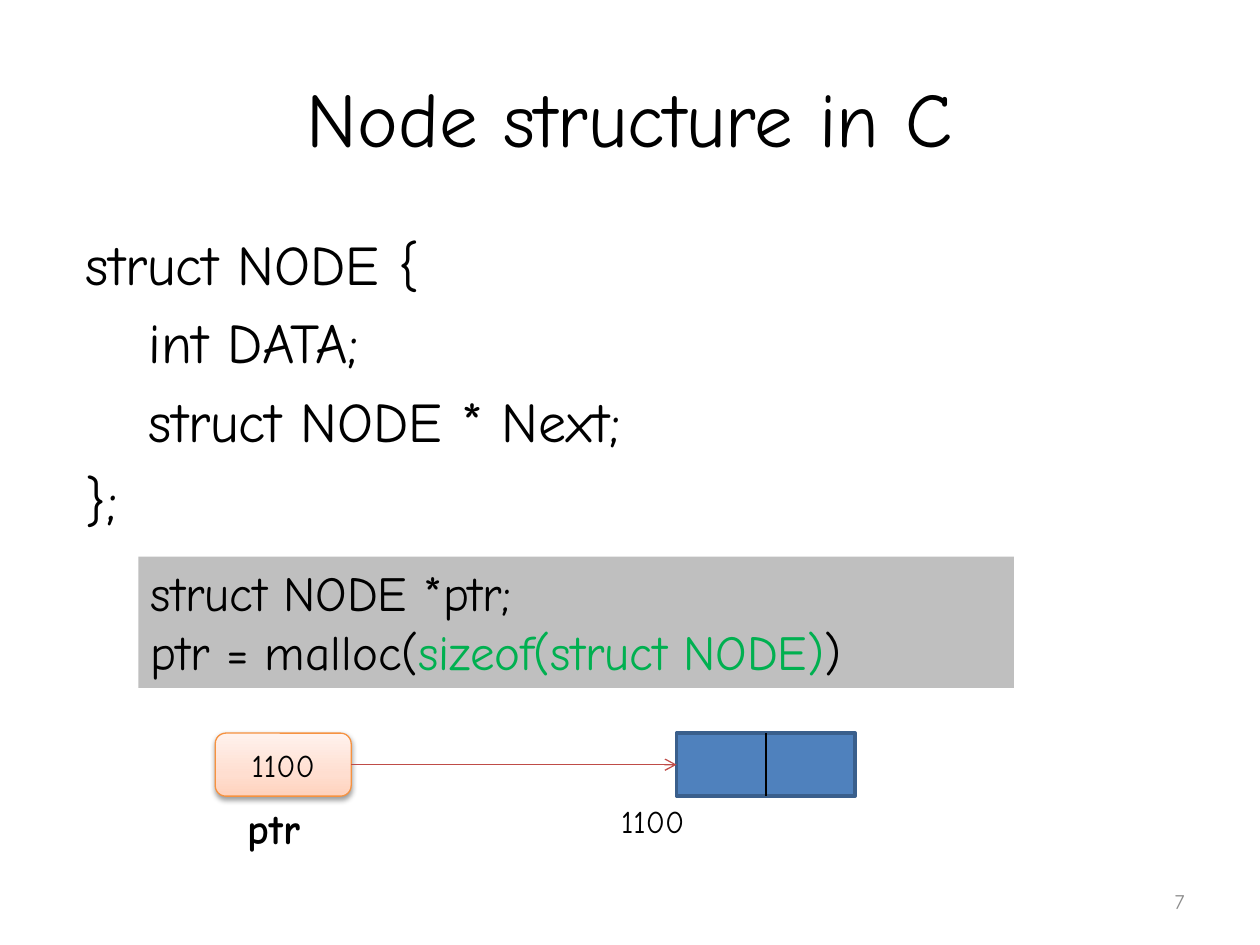
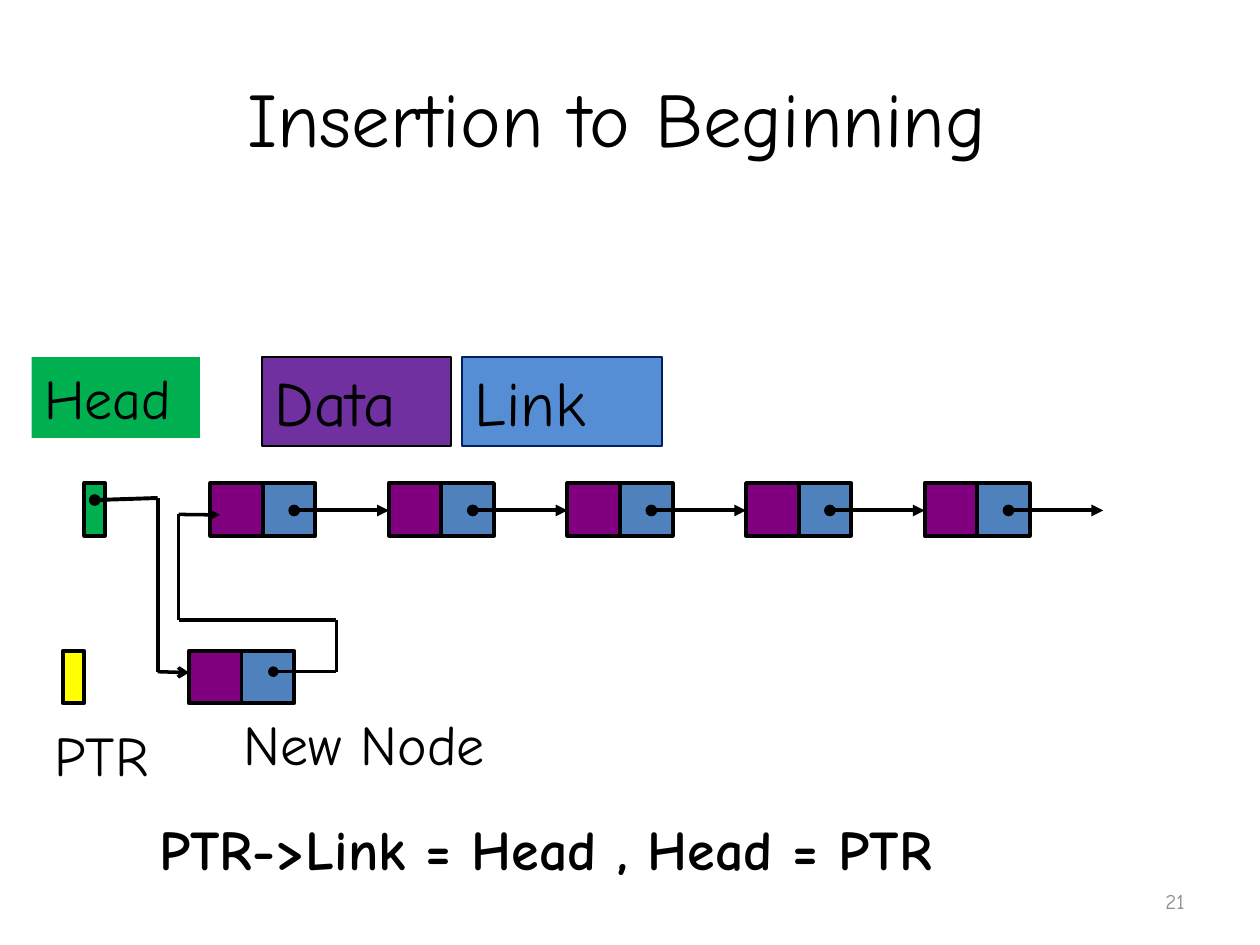
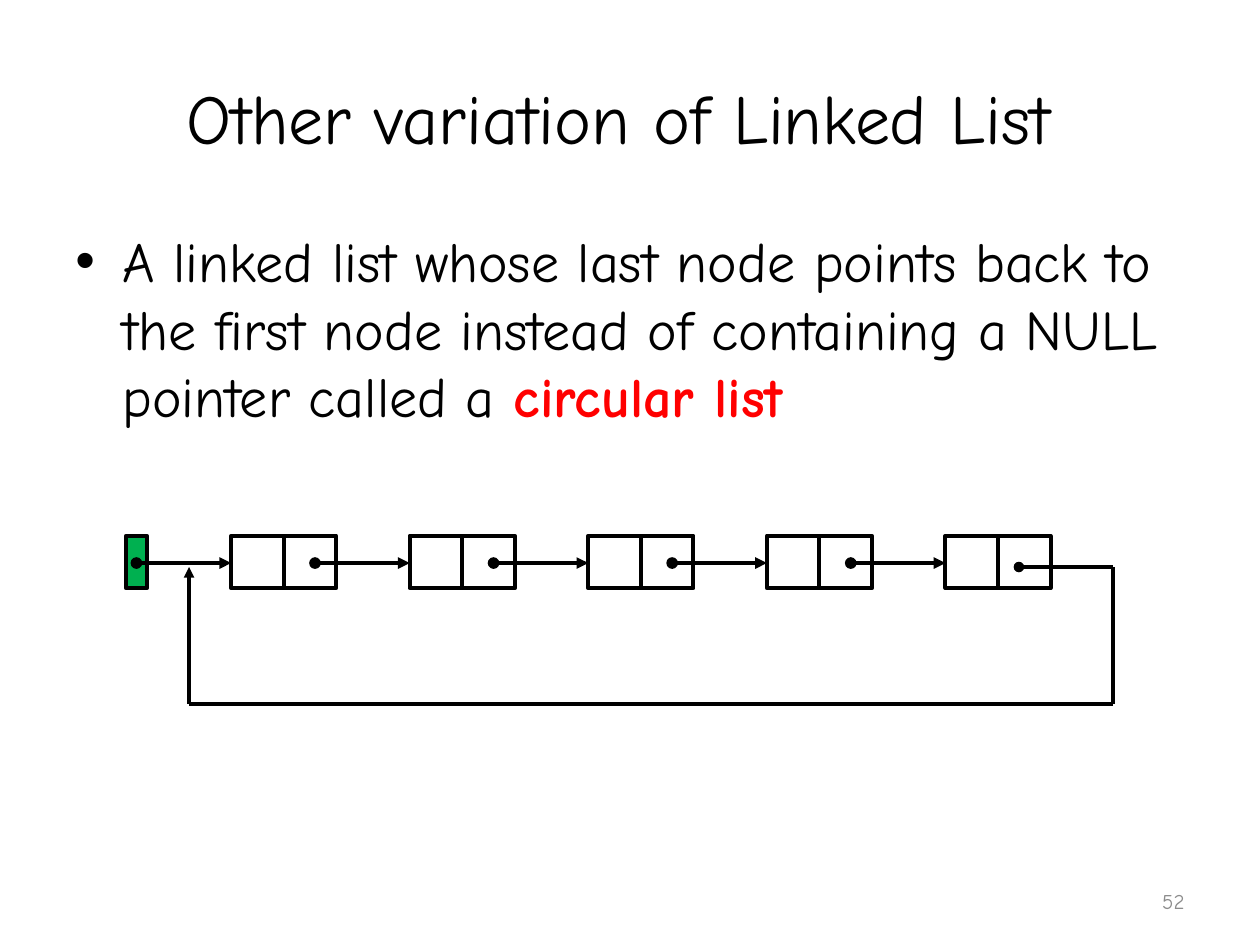
from pptx import Presentation
from pptx.dml.color import RGBColor
from pptx.enum.shapes import MSO_CONNECTOR, MSO_SHAPE as SHAPE
from pptx.enum.text import MSO_ANCHOR as ANCHOR, PP_ALIGN as ALIGN
from pptx.oxml import parse_xml
from pptx.oxml.ns import nsdecls
from pptx.util import Cm, Pt

BLACK = RGBColor(0x00, 0x00, 0x00)
GRAY = RGBColor(0x8C, 0x8C, 0x8C)
SILVER = RGBColor(0xBF, 0xBF, 0xBF)
GREEN = RGBColor(0x00, 0xB0, 0x50)
RED = RGBColor(0xFF, 0x00, 0x00)
YELLOW = RGBColor(0xFF, 0xFF, 0x00)
BLUE = RGBColor(0x4F, 0x81, 0xBD)
SKY = RGBColor(0x55, 0x8E, 0xD5)
NAVY = RGBColor(0x00, 0x20, 0x60)
STEEL = RGBColor(0x3A, 0x5F, 0x8C)
PURPLE = RGBColor(0x80, 0x00, 0x80)
VIOLET = RGBColor(0x70, 0x30, 0xA0)
ORANGE = RGBColor(0xF6, 0x92, 0x40)
BRICK = RGBColor(0xBF, 0x4C, 0x48)

FONT = "Comic Neue"
CELL, PITCH, POINTER = 1.06, 3.6, 0.42   # node cell, node step, pointer width
LINK_X, LINK_Y, LINK_LEN = 1.69, 0.55, 1.91   # arrow from a node to the next
LABEL_H = 1.63


# ---- Shared helpers; a box is (left, top, width, height) in cm ----
def xml(source):
    return parse_xml(source.replace(">", f" {nsdecls('a')}>", 1)
                     if "/>" not in source.split(">")[0] + ">"
                     else source.replace("/>", f" {nsdecls('a')}/>", 1))


def write(sp, paras, size, align=ALIGN.LEFT, anchor=ANCHOR.TOP, before=0, **fmt):
    """Fill a shape; each paragraph is a string or a list of (text, format)."""
    tf = sp.text_frame
    tf.word_wrap, tf.vertical_anchor = True, anchor
    for i, para in enumerate(paras):
        p = tf.paragraphs[0] if i == 0 else tf.add_paragraph()
        p.alignment, p.space_before = align, Pt(before)
        for words, own in [(para, {})] if isinstance(para, str) else para:
            r = p.add_run()
            r.text = words
            style = {"name": FONT, "size": Pt(size), "color": BLACK, **fmt, **own}
            r.font.color.rgb = style.pop("color")
            for key, value in style.items():
                setattr(r.font, key, value)
    return sp


def text(s, box, paras, size, **fmt):
    return write(s.shapes.add_textbox(*map(Cm, box)), paras, size, **fmt)


def block(s, box, fill=None, line=None, width=2.25, kind=SHAPE.RECTANGLE):
    sp = s.shapes.add_shape(kind, *map(Cm, box))
    sp.shadow.inherit = False
    if fill is None:
        sp.fill.background()
    else:
        sp.fill.solid()
        sp.fill.fore_color.rgb = fill
    if line is None:
        sp.line.fill.background()
    else:
        sp.line.color.rgb, sp.line.width = line, Pt(width)
    return sp


def route(s, points, color=BLACK, width=2.0, head=None, tail=None):
    """Straight lines through the points, with ends on the first and last."""
    last = len(points) - 2
    for i, (a, b) in enumerate(zip(points, points[1:])):
        c = s.shapes.add_connector(MSO_CONNECTOR.STRAIGHT, *map(Cm, (*a, *b)))
        c.line.color.rgb, c.line.width = color, Pt(width)
        ln = c.line._get_or_add_ln()
        if head and i == 0:
            ln.append(xml(f'<a:headEnd type="{head}"/>'))
        if tail and i == last:
            ln.append(xml(f'<a:tailEnd type="{tail}"/>'))
        c._element.spPr.append(xml("<a:effectLst/>"))


def new_slide(prs, title, number, size=44):
    s = prs.slides.add_slide(prs.slide_layouts[6])
    text(s, (1.27, 0.76, 22.86, 3.18), [title], size,
         align=ALIGN.CENTER, anchor=ANCHOR.MIDDLE)
    text(s, (18.2, 17.65, 5.93, 1.02), [str(number)], 12,
         align=ALIGN.RIGHT, anchor=ANCHOR.MIDDLE, color=GRAY)
    return s


# ---- Linked list parts ----
def node(s, x, y, data=None, link=None):
    block(s, (x + CELL, y, CELL, CELL), link, BLACK)
    block(s, (x, y, CELL, CELL), data, BLACK)


def pointer(s, x, y, fill):
    block(s, (x, y, POINTER, CELL), fill, BLACK)


def link_arrow(s, x, y):
    route(s, [(x, y), (x + LINK_LEN, y)], width=2.25, head="oval", tail="triangle")


def node_row(s, x, y, count, arrows, **fills):
    for i in range(count):
        node(s, x + i * PITCH, y, **fills)
    for i in range(arrows):
        link_arrow(s, x + i * PITCH + LINK_X, y + LINK_Y)


# ---- Slide regions ----
def code_panel(s, box):
    write(block(s, box, SILVER),
          ["struct NODE *ptr;",
           [("ptr = malloc(", {}), ("sizeof(struct NODE)", {"color": GREEN}), (")", {})]],
          28)


def malloc_diagram(s, x, y):
    h, node_x, node_w = 1.27, 9.3, 3.6
    # Allocated node and its address
    block(s, (x + node_x, y, node_w, h), BLUE, STEEL, 2)
    text(s, (x + 7.93, y + h, 2.44, 1.02), ["1100"], 18)
    mid = x + node_x + node_w / 2
    route(s, [(mid, y), (mid, y + h)], width=0.75)
    # Pointer variable with a soft gradient and shadow
    sp = block(s, (x, y, 2.74, h), SILVER, ORANGE, 0.75, SHAPE.ROUNDED_RECTANGLE)
    stops = "".join(f'<a:gs pos="{pos}000"><a:srgbClr val="{c}"/></a:gs>'
                    for pos, c in ((0, "FFD2BD"), (35, "FFDED0"), (100, "FFF2ED")))
    pr = sp._element.spPr
    pr.replace(pr.find("{*}solidFill"), xml(
        f'<a:gradFill><a:gsLst>{stops}</a:gsLst><a:lin ang="16200000" scaled="0"/></a:gradFill>'))
    pr.replace(pr.find("{*}effectLst"), xml(
        '<a:effectLst><a:outerShdw blurRad="40000" dist="20000" dir="5400000" rotWithShape="0">'
        '<a:srgbClr val="000000"><a:alpha val="38000"/></a:srgbClr></a:outerShdw></a:effectLst>'))
    write(sp, ["1100"], 18, align=ALIGN.CENTER, anchor=ANCHOR.MIDDLE)
    text(s, (x + 0.41, y + h, 2.34, h), ["ptr"], 24, bold=True)
    route(s, [(x + 2.74, y + h / 2), (x + node_x, y + h / 2)], BRICK, 0.75, tail="arrow")


def insertion_diagram(s, x, y):
    def at(*points):
        return [(x + dx, y + dy) for dx, dy in points]

    # Legend
    for dx, w, h, fill, line, words, size in (
            (0, 3.39, LABEL_H, GREEN, None, "Head ", 32),
            (4.65, 3.81, 1.79, VIOLET, BLACK, "Data ", 36),
            (8.68, 4.02, 1.79, SKY, NAVY, "Link ", 36)):
        write(block(s, (x + dx, y, w, h), fill, line, 1), [words], size)
    # Existing list, new node and the two pointers
    colors = {"data": PURPLE, "link": BLUE}
    node_row(s, x + 3.6, y + 2.54, 5, 5, **colors)
    node(s, x + 3.17, y + 5.92, **colors)
    pointer(s, x + 1.06, y + 2.54, GREEN)
    pointer(s, x + 0.63, y + 5.92, YELLOW)
    # Head to new node, new node to the old first node
    route(s, at((1.27, 2.88), (2.54, 2.84)), width=2.25, head="oval")
    route(s, at((2.54, 2.84), (2.54, 6.34), (3.17, 6.36)), tail="arrow")
    route(s, at((4.87, 6.34), (6.14, 6.34), (6.14, 5.3), (2.96, 5.3),
                (2.96, 3.17), (3.8, 3.18)), head="oval", tail="triangle")
    # Captions
    for dx, dy, w, words, bold in (
            (4.02, 6.98, 6.56, "New Node ", False),
            (0.21, 7.2, 2.96, "PTR", False),
            (2.33, 9.1, 21.38, "PTR->Link = Head , Head = PTR ", True)):
        text(s, (x + dx, y + dy, w, LABEL_H), [words], 32, bold=bold)


def circular_diagram(s, x, y):
    pointer(s, x, y, GREEN)
    node_row(s, x + 2.12, y, 5, 4)
    link_arrow(s, x + POINTER / 2, y + LINK_Y)
    # Way back from the last node to the first
    left, right, top, bottom = x + 1.27, x + 19.9, y + 0.63, y + 3.39
    route(s, [(x + 18, top), (right, top), (right, bottom), (left, bottom), (left, top)],
          head="oval", tail="triangle")


# ---- Slides ----
def structure_slide(prs):
    s = new_slide(prs, "Node structure in C", 7)
    text(s, (1.48, 4.5, 22.86, 12.57),
         ["struct NODE {", "\tint DATA;", "\tstruct NODE * Next;", "};"], 32, before=6.4)
    code_panel(s, (2.79, 11.22, 17.65, 2.65))
    malloc_diagram(s, 4.34, 14.78)


def insertion_slide(prs):
    s = new_slide(prs, "Insertion to Beginning ", 21)
    insertion_diagram(s, 0.64, 7.2)


def circular_slide(prs):
    s = new_slide(prs, "Other variation of Linked List ", 52, size=40)
    sp = text(s, (1.27, 4.45, 22.86, 12.57),
              [[("A linked list whose last node points back to the first node instead "
                 "of containing a NULL pointer called a ", {}),
                ("circular list", {"color": RED, "bold": True})]], 32, before=6.4)
    pPr = sp.text_frame.paragraphs[0]._p.get_or_add_pPr()
    pPr.set("marL", str(Cm(0.95)))
    pPr.set("indent", str(-Cm(0.95)))
    pPr.append(xml('<a:buFont typeface="Arial"/>'))
    pPr.append(xml('<a:buChar char="•"/>'))
    circular_diagram(s, 2.54, 10.8)


prs = Presentation()
prs.slide_width, prs.slide_height = Cm(25.4), Cm(19.05)
for build in (structure_slide, insertion_slide, circular_slide):
    build(prs)
prs.save("out.pptx")
